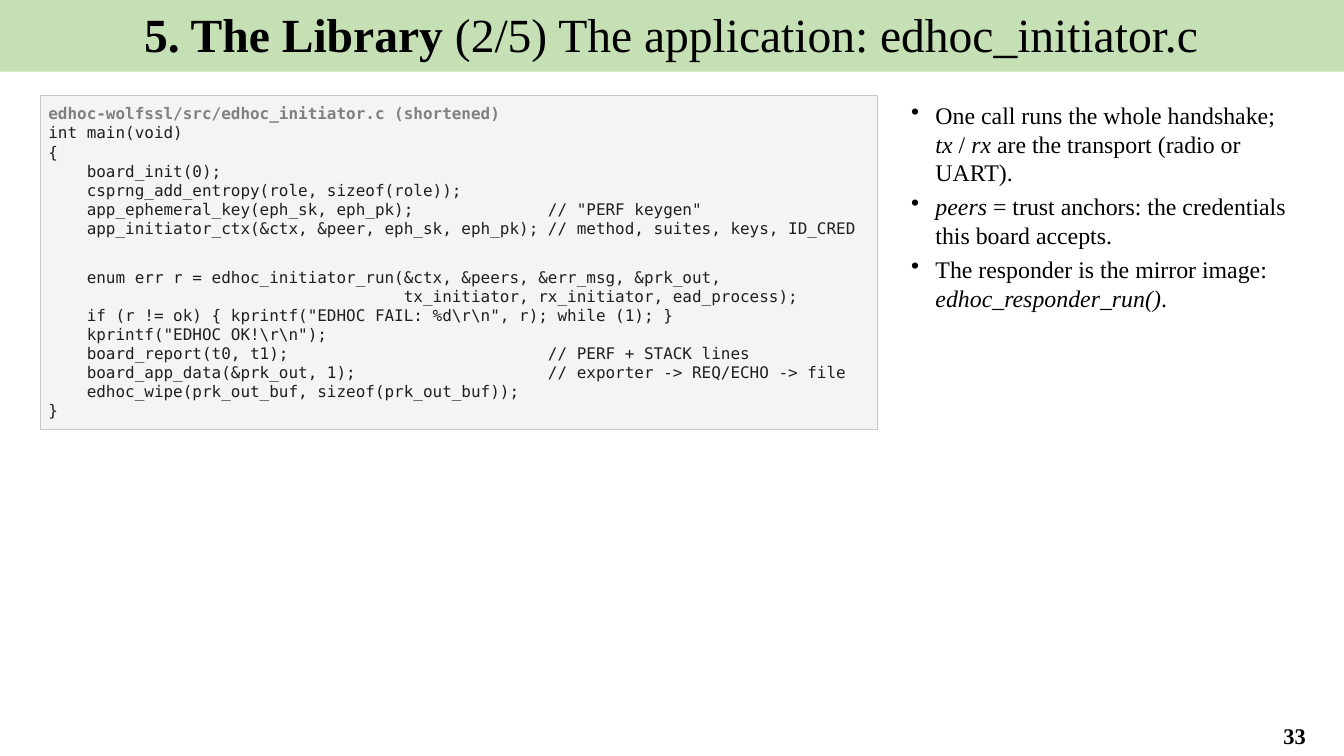
"""Build the slide on the initiator application of the library."""
from dataclasses import dataclass

from lxml import etree
from pptx import Presentation
from pptx.dml.color import RGBColor
from pptx.enum.shapes import MSO_SHAPE
from pptx.enum.text import MSO_ANCHOR, MSO_AUTO_SIZE, PP_ALIGN
from pptx.oxml.ns import qn
from pptx.slide import Slide
from pptx.text.text import TextFrame, _Paragraph
from pptx.util import Emu, Pt

EMU_PER_PX = 9144
TITLE_ONLY = 5
RECTANGLE = MSO_SHAPE.RECTANGLE
TOP, MIDDLE = MSO_ANCHOR.TOP, MSO_ANCHOR.MIDDLE
LEFT, CENTER = PP_ALIGN.LEFT, PP_ALIGN.CENTER
NO_AUTOFIT = MSO_AUTO_SIZE.NONE


@dataclass(frozen=True)
class Theme:
    serif: str = "Times New Roman"
    mono: str = "DejaVu Sans Mono"
    ink: str = "000000"
    band: str = "C5E0B4"
    code_fill: str = "F4F4F4"
    code_edge: str = "C8C8C8"
    code_ink: str = "1F1F1F"
    code_caption: str = "808080"
    title_size: float = 34
    bullet_size: float = 17
    page_size: float = 16
    code_size: float = 11.4
    code_gap: float = 21
    bullet_gap: float = 4
    edge_width: float = 0.75


@dataclass(frozen=True)
class Box:
    left: int
    top: int
    width: int
    height: int

    def emu(self) -> tuple[Emu, Emu, Emu, Emu]:
        return px(self.left), px(self.top), px(self.width), px(self.height)


@dataclass(frozen=True)
class Span:
    text: str
    bold: bool = False
    italic: bool = False


THEME = Theme()
TITLE_BOX = Box(-1, 0, 1334, 71)
CODE_BOX = Box(40, 95, 830, 331)
NOTES_BOX = Box(890, 95, 420, 550)
PAGE_BOX = Box(1235, 710, 98, 39)

TITLE = [
    Span("5. The Library ", bold=True),
    Span("(2/5) The application: edhoc_initiator.c"),
]
CAPTION = "edhoc-wolfssl/src/edhoc_initiator.c (shortened)"
CODE_BLOCKS = [
    r"""int main(void)
{
    board_init(0);
    csprng_add_entropy(role, sizeof(role));
    app_ephemeral_key(eph_sk, eph_pk);              // "PERF keygen"
    app_initiator_ctx(&ctx, &peer, eph_sk, eph_pk); // method, suites, keys, ID_CRED""",
    r"""    enum err r = edhoc_initiator_run(&ctx, &peers, &err_msg, &prk_out,
                                     tx_initiator, rx_initiator, ead_process);
    if (r != ok) { kprintf("EDHOC FAIL: %d\r\n", r); while (1); }
    kprintf("EDHOC OK!\r\n");
    board_report(t0, t1);                           // PERF + STACK lines
    board_app_data(&prk_out, 1);                    // exporter -> REQ/ECHO -> file
    edhoc_wipe(prk_out_buf, sizeof(prk_out_buf));
}""",
]
NOTES = [
    [
        Span("One call runs the whole handshake; "),
        Span("tx", italic=True),
        Span(" / "),
        Span("rx", italic=True),
        Span(" are the transport (radio or UART)."),
    ],
    [
        Span("peers", italic=True),
        Span(" = trust anchors: the credentials this board accepts."),
    ],
    [
        Span("The responder is the mirror image: "),
        Span("edhoc_responder_run()", italic=True),
        Span("."),
    ],
]


def px(length: int) -> Emu:
    return Emu(length * EMU_PER_PX)


def color(value: str) -> RGBColor:
    return RGBColor.from_string(value)


def set_frame(frame: TextFrame, side: int, edge: int, wrap: bool) -> None:
    frame.margin_left = frame.margin_right = px(side)
    frame.margin_top = frame.margin_bottom = px(edge)
    frame.word_wrap = wrap
    frame.auto_size = NO_AUTOFIT


def write_spans(paragraph: _Paragraph, spans: list[Span], size: float,
                face: str = THEME.serif, ink: str = THEME.ink) -> None:
    for span in spans:
        run = paragraph.add_run()
        run.text = span.text
        run.font.name = face
        run.font.size = Pt(size)
        run.font.bold = span.bold
        run.font.italic = span.italic
        run.font.color.rgb = color(ink)


def add_bullet(paragraph: _Paragraph) -> None:
    properties = paragraph._p.get_or_add_pPr()
    properties.set("marL", str(px(28)))
    properties.set("indent", str(px(-24)))
    etree.SubElement(properties, qn("a:buChar")).set("char", "•")


def next_paragraph(frame: TextFrame, first: bool) -> _Paragraph:
    return frame.paragraphs[0] if first else frame.add_paragraph()


def draw_title(slide: Slide) -> None:
    band = slide.shapes.title
    band.left, band.top, band.width, band.height = TITLE_BOX.emu()
    band.fill.solid()
    band.fill.fore_color.rgb = color(THEME.band)
    set_frame(band.text_frame, 10, 5, True)
    band.text_frame.vertical_anchor = TOP
    heading = band.text_frame.paragraphs[0]
    heading.alignment = CENTER
    write_spans(heading, TITLE, THEME.title_size)


def draw_code(slide: Slide) -> None:
    listing = slide.shapes.add_shape(RECTANGLE, *CODE_BOX.emu())
    listing.shadow.inherit = False
    listing.fill.solid()
    listing.fill.fore_color.rgb = color(THEME.code_fill)
    listing.line.color.rgb = color(THEME.code_edge)
    listing.line.width = Pt(THEME.edge_width)
    frame = listing.text_frame
    set_frame(frame, 8, 8, False)
    frame.vertical_anchor = TOP
    caption = frame.paragraphs[0]
    caption.alignment = LEFT
    write_spans(caption, [Span(CAPTION, bold=True)], THEME.code_size,
                THEME.mono, THEME.code_caption)
    for block_index, block in enumerate(CODE_BLOCKS):
        for line_index, code in enumerate(block.splitlines()):
            line = frame.add_paragraph()
            line.alignment = LEFT
            if block_index and not line_index:
                line.space_before = Pt(THEME.code_gap)
            write_spans(line, [Span(code)], THEME.code_size, THEME.mono, THEME.code_ink)


def draw_notes(slide: Slide) -> None:
    frame = slide.shapes.add_textbox(*NOTES_BOX.emu()).text_frame
    set_frame(frame, 10, 5, True)
    for index, spans in enumerate(NOTES):
        note = next_paragraph(frame, index == 0)
        note.space_after = Pt(THEME.bullet_gap)
        add_bullet(note)
        write_spans(note, spans, THEME.bullet_size)


def draw_page_number(slide: Slide) -> None:
    frame = slide.shapes.add_textbox(*PAGE_BOX.emu()).text_frame
    set_frame(frame, 10, 5, True)
    frame.vertical_anchor = MIDDLE
    frame.paragraphs[0].alignment = CENTER
    write_spans(frame.paragraphs[0], [Span("33", bold=True)], THEME.page_size)


def main() -> None:
    deck = Presentation()
    deck.slide_width, deck.slide_height = px(1333), px(750)
    slide = deck.slides.add_slide(deck.slide_layouts[TITLE_ONLY])
    draw_title(slide)
    draw_code(slide)
    draw_notes(slide)
    draw_page_number(slide)
    deck.save("out.pptx")


if __name__ == "__main__":
    main()
